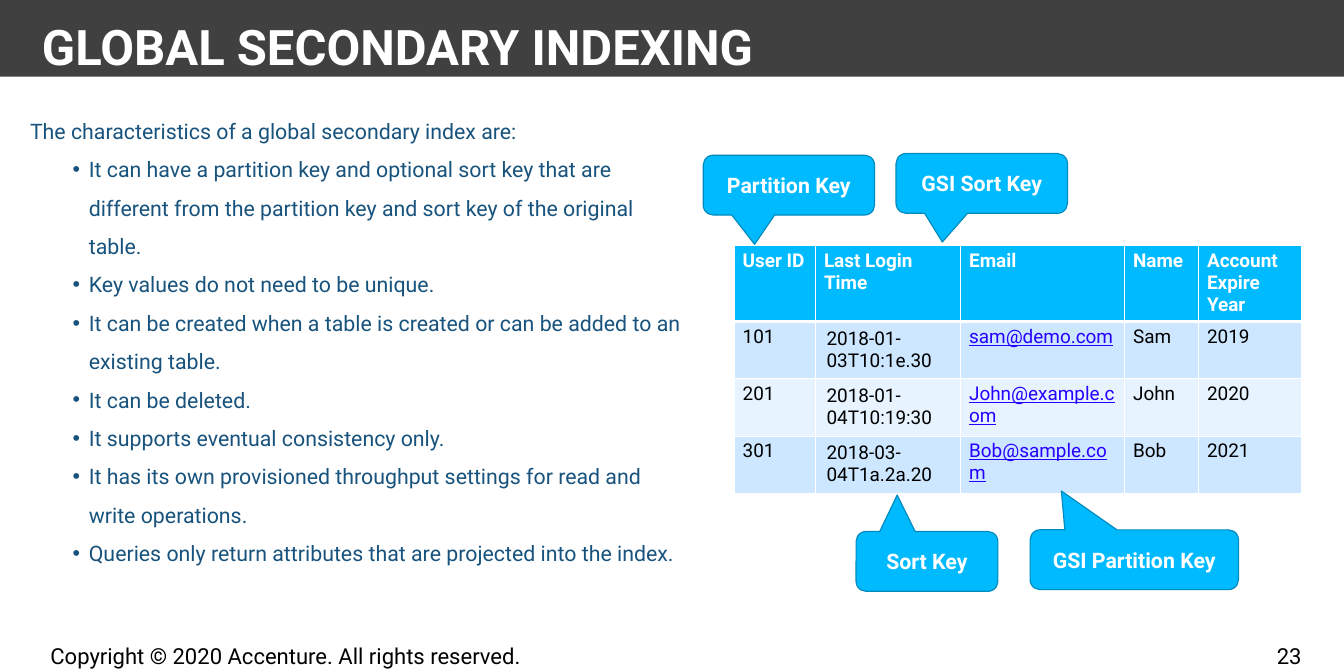
from lxml import etree
from pptx import Presentation
from pptx import util as u
from pptx.dml.color import RGBColor
from pptx.enum import shapes, text
from pptx.oxml import ns

FONT = "Roboto"
COLORS = {
    "banner": "404040", "white": "FFFFFF", "black": "000000",
    "body": "18537D", "accent": "00BAFF", "accent_line": "008ABD",
    "odd_row": "CCE7FF", "even_row": "E7F3FF", "email": "2800FF",
}
CHARACTERISTICS = [
    "It can have a partition key and optional sort key that are different "
    "from the partition key and sort key of the original table.",
    "Key values do not need to be unique.",
    "It can be created when a table is created or can be added to an existing table.",
    "It can be deleted.",
    "It supports eventual consistency only.",
    "It has its own provisioned throughput settings for read and write operations.",
    "Queries only return attributes that are projected into the index.",
]
USERS = [
    ["User ID", "Last Login Time", "Email", "Name", "Account Expire Year"],
    ["101", "2018-01-03T10:1e.30", "sam@demo.com", "Sam", "2019"],
    ["201", "2018-01-04T10:19:30", "John@example.com", "John", "2020"],
    ["301", "2018-03-04T1a.2a.20", "Bob@sample.com", "Bob", "2021"],
]
COLUMN_WIDTHS = [2.42, 4.32, 4.88, 2.2, 3.08]
HEADER_HEIGHT, ROW_HEIGHT = 2.26, 1.7
LOGIN_COLUMN, EMAIL_COLUMN = 1, 2
CALLOUT_HEIGHT = 1.78
# label, left, top, width, pointer tip relative to the callout's centre
CALLOUTS = [
    ("Partition Key", 20.93, 4.62, 5.1, (-0.2, 0.99)),
    ("Sort Key", 25.48, 15.82, 4.22, (-0.21, -1.11)),
    ("GSI Sort Key", 26.67, 4.57, 5.1, (-0.23, 0.98)),
    ("GSI Partition Key", 30.66, 15.77, 6.2, (-0.35, -1.15)),
]


def rgb(name):
    return RGBColor.from_string(COLORS[name])


def cm_box(*lengths):
    return [u.Cm(length) for length in lengths]


def add_run(paragraph, words, size, color, bold=False, underline=False):
    run = paragraph.add_run()
    run.text = words
    font = run.font
    font.name, font.size, font.bold = FONT, u.Pt(size), bold
    font.underline = underline
    font.color.rgb = rgb(color)


def place(shape, box):
    shape.left, shape.top, shape.width, shape.height = cm_box(*box)


def set_bullet(paragraph, left, hanging, character=None):
    properties = paragraph._p.get_or_add_pPr()
    properties.set("marL", str(u.Cm(left)))
    properties.set("indent", str(u.Cm(-hanging)))
    if character:
        bullet = etree.SubElement(properties, ns.qn("a:buChar"))
        bullet.set("char", character)
    else:
        etree.SubElement(properties, ns.qn("a:buNone"))


def set_borders(cell, top, bottom):
    """Draw white cell borders; top and bottom are widths in points."""
    properties = cell._tc.get_or_add_tcPr()
    widths = {"lnL": 1, "lnR": 1, "lnT": top, "lnB": bottom}
    for position, (side, width) in enumerate(widths.items()):
        line = etree.Element(ns.qn(f"a:{side}"), w=str(u.Pt(width)))
        fill = etree.SubElement(line, ns.qn("a:solidFill"))
        etree.SubElement(fill, ns.qn("a:srgbClr"), val=COLORS["white"])
        properties.insert(position, line)


def add_banner(slide, box):
    banner = slide.shapes.add_shape(shapes.MSO_SHAPE.RECTANGLE, *cm_box(*box))
    banner.shadow.inherit = False
    banner.fill.solid()
    banner.fill.fore_color.rgb = rgb("banner")
    banner.line.fill.background()
    tree = slide.shapes._spTree
    tree.remove(banner._element)
    tree.insert(2, banner._element)


def fill_title(title, box):
    place(title, box)
    frame = title.text_frame
    frame.auto_size = text.MSO_AUTO_SIZE.NONE
    frame.vertical_anchor = text.MSO_ANCHOR.TOP
    frame.margin_left = frame.margin_right = frame.margin_bottom = 0
    paragraph = frame.paragraphs[0]
    paragraph.alignment = text.PP_ALIGN.LEFT
    paragraph.line_spacing = 0.7
    add_run(paragraph, "GLOBAL SECONDARY INDEXING", 41.3, "white", bold=True)


def fill_characteristics(body, box):
    place(body, box)
    frame = body.text_frame
    frame.auto_size = text.MSO_AUTO_SIZE.NONE
    frame.vertical_anchor = text.MSO_ANCHOR.TOP
    lines = ["The characteristics of a global secondary index are:", *CHARACTERISTICS]
    for index, line in enumerate(lines):
        paragraph = frame.add_paragraph() if index else frame.paragraphs[0]
        if index:
            paragraph.level = 1
            set_bullet(paragraph, 1.75, 0.48, "•")
        else:
            set_bullet(paragraph, 0, 0)
        paragraph.line_spacing = 1.5
        paragraph.space_before = u.Pt(0)
        add_run(paragraph, line, 18, "body")


def add_user_table(slide, left, top):
    size = cm_box(sum(COLUMN_WIDTHS), HEADER_HEIGHT + ROW_HEIGHT * (len(USERS) - 1))
    frame = slide.shapes.add_table(
        len(USERS), len(COLUMN_WIDTHS), *cm_box(left, top), *size)
    table = frame.table
    for column, width in zip(table.columns, COLUMN_WIDTHS):
        column.width = u.Cm(width)
    for row, values in enumerate(USERS):
        header = row == 0
        table.rows[row].height = u.Cm(HEADER_HEIGHT if header else ROW_HEIGHT)
        background = "accent" if header else "odd_row" if row % 2 else "even_row"
        for column, value in enumerate(values):
            cell = table.cell(row, column)
            cell.fill.solid()
            cell.fill.fore_color.rgb = rgb(background)
            set_borders(cell, 3 if row == 1 else 1, 3 if header else 1)
            if column == LOGIN_COLUMN and not header:
                cell.margin_left = cell.margin_right = u.Cm(0.33)
                cell.margin_top = cell.margin_bottom = u.Cm(0.18)
            email = column == EMAIL_COLUMN and not header
            color = "white" if header else "email" if email else "black"
            add_run(cell.text_frame.paragraphs[0], value, 16, color,
                    bold=header, underline=email)


def add_callout(slide, label, box, tip):
    callout = slide.shapes.add_shape(
        shapes.MSO_SHAPE.ROUNDED_RECTANGULAR_CALLOUT, *cm_box(*box))
    callout.adjustments[0], callout.adjustments[1] = tip
    callout.shadow.inherit = False
    callout.fill.solid()
    callout.fill.fore_color.rgb = rgb("accent")
    callout.line.color.rgb = rgb("accent_line")
    callout.line.width = u.Pt(1)
    frame = callout.text_frame
    frame.vertical_anchor = text.MSO_ANCHOR.MIDDLE
    paragraph = frame.paragraphs[0]
    paragraph.alignment = text.PP_ALIGN.CENTER
    add_run(paragraph, label, 18, "white", bold=True)


def add_footer_text(slide, words, box):
    frame = slide.shapes.add_textbox(*cm_box(*box)).text_frame
    frame.word_wrap = True
    add_run(frame.paragraphs[0], words, 18.6, "black")


def main():
    presentation = Presentation()
    presentation.slide_width, presentation.slide_height = cm_box(40, 20)
    slide = presentation.slides.add_slide(presentation.slide_layouts[1])
    add_banner(slide, (0, 0, 40, 2.28))
    fill_title(slide.shapes.title, (1.25, 0.85, 37.5, 3.78))
    fill_characteristics(slide.placeholders[1], (0.64, 3, 20, 15.1))
    add_user_table(slide, 21.85, 7.32)
    for label, left, top, width, tip in CALLOUTS:
        add_callout(slide, label, (left, top, width, CALLOUT_HEIGHT), tip)
    add_footer_text(slide, "Copyright © 2020 Accenture. All rights reserved.",
                    (1.25, 19, 18.75, 1))
    add_footer_text(slide, "23", (37.75, 19, 1.83, 1))
    presentation.save("out.pptx")


if __name__ == "__main__":
    main()
